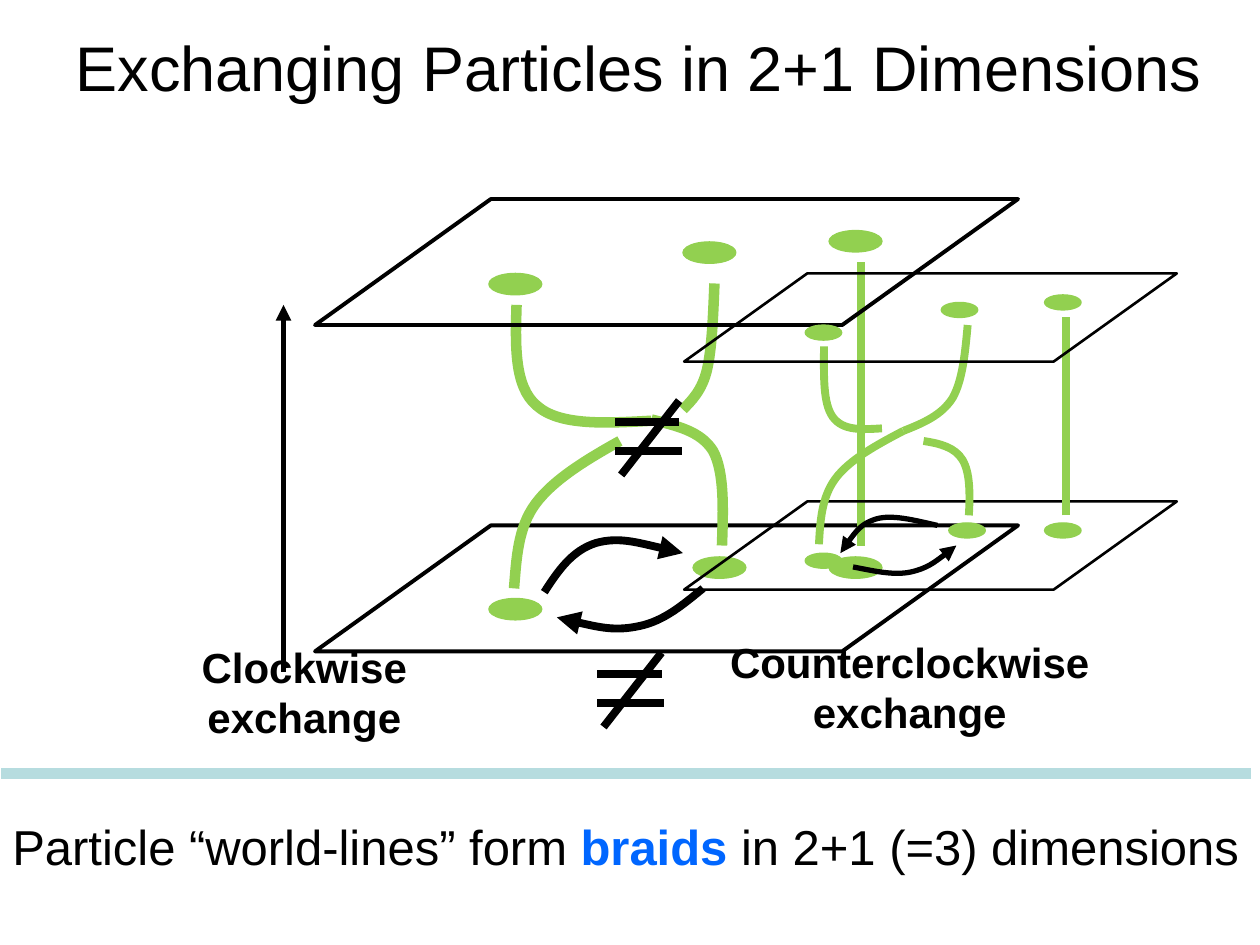
from pptx import Presentation
from pptx.dml.color import RGBColor
from pptx.enum.shapes import MSO_CONNECTOR, MSO_SHAPE
from pptx.enum.text import MSO_ANCHOR, MSO_AUTO_SIZE, PP_ALIGN
from pptx.oxml.ns import qn
from pptx.util import Inches, Pt
from lxml.etree import SubElement

BLACK = RGBColor(0, 0, 0)
GREEN = RGBColor(0x92, 0xD0, 0x50)
BLUE = RGBColor(0x00, 0x66, 0xFF)
TEAL = RGBColor(0xB6, 0xDC, 0xDF)

# Each curve is a start point followed by three Bezier points per segment.
SCENES = [
    dict(  # clockwise exchange
        left=2.5, size=(5.58, 1), tops=(4.17, 1.58), edge=2.25,
        dot=(0.42, 0.17),
        dots=[(3.88, 4.75), (5.5, 4.42), (3.88, 2.17), (5.42, 1.92),
              (6.58, 4.42), (6.58, 1.83)],
        strand=6,
        strands=[
            [(4.08, 4.67), (4.1, 4.43), (4.11, 4.19), (4.25, 4),
             (4.39, 3.81), (4.65, 3.65), (4.92, 3.5)],
            [(5.73, 4.33), (5.74, 4.04), (5.75, 3.75), (5.66, 3.58),
             (5.56, 3.42), (5.37, 3.38), (5.17, 3.33)],
            [(5.17, 3.34), (4.8, 3.36), (4.44, 3.38), (4.26, 3.22),
             (4.08, 3.07), (4.09, 2.74), (4.1, 2.42)],
            [(5.42, 3.25), (5.49, 3.18), (5.57, 3.1), (5.61, 2.94),
             (5.65, 2.77), (5.66, 2.51), (5.67, 2.25)]],
        still=[(6.83, 3.42, 6.83, 2.08), (6.83, 4.33, 6.83, 3.33)],
        arrow=4.5,
        arrows=[
            [(4.32, 4.7), (4.43, 4.53), (4.54, 4.37), (4.73, 4.31),
             (4.91, 4.26), (5.16, 4.33), (5.42, 4.39)],
            [(5.58, 4.67), (5.42, 4.8), (5.27, 4.93), (5.07, 4.97),
             (4.88, 5.01), (4.65, 4.96), (4.42, 4.9)]]),
    dict(  # counterclockwise exchange
        left=5.43, size=(3.91, 0.7), tops=(3.98, 2.17), edge=1.5,
        dot=(0.29, 0.12),
        dots=[(6.39, 4.39), (7.53, 4.15), (6.39, 2.58), (7.47, 2.4),
              (8.29, 4.15), (8.29, 2.34)],
        strand=4.5,
        strands=[
            [(6.5, 4.32), (6.51, 4.14), (6.52, 3.95), (6.63, 3.8),
             (6.74, 3.65), (6.96, 3.53), (7.17, 3.42)],
            [(7.69, 4.09), (7.7, 3.92), (7.7, 3.75), (7.64, 3.65),
             (7.58, 3.55), (7.46, 3.52), (7.33, 3.5)],
            [(7, 3.4), (6.84, 3.41), (6.69, 3.42), (6.61, 3.31),
             (6.53, 3.2), (6.54, 2.98), (6.54, 2.75)],
            [(7.17, 3.42), (7.32, 3.36), (7.47, 3.3), (7.56, 3.16),
             (7.64, 3.02), (7.66, 2.8), (7.68, 2.58)]],
        still=[(8.46, 3.45, 8.46, 2.52), (8.46, 4.09, 8.46, 3.39)],
        arrow=3,
        arrows=[
            [(7.44, 4.17), (7.26, 4.13), (7.08, 4.08), (6.95, 4.12),
             (6.83, 4.16), (6.75, 4.27), (6.67, 4.39)],
            [(6.77, 4.5), (6.93, 4.53), (7.09, 4.57), (7.23, 4.54),
             (7.36, 4.51), (7.48, 4.42), (7.59, 4.33)]]),
]
AXIS = (2.25, 5.33, 2.25, 2.42)
RULE = (0.01, 6.14, 9.93, 6.14)
UNEQUAL = [(4.88, 3.18), (4.74, 5.18)]
SIGN = [(0, 0.17, 0.51, 0.17), (0, 0.4, 0.53, 0.4), (0.51, 0, 0.05, 0.59)]
LABELS = [
    ((1.49, 5.04, 1.85, 0.91), ["Clockwise", "exchange"]),
    ((5.68, 5, 3.08, 0.91), ["Counterclockwise", "exchange"]),
]
TITLE = "Exchanging Particles in 2+1 Dimensions"
CLAIM = [("Particle “world-lines” form ", BLACK, False),
         ("braids", BLUE, True),
         (" in 2+1 (=3) dimensions", BLACK, False)]

prs = Presentation()
prs.slide_width, prs.slide_height = Inches(10), Inches(7.5)
slide = prs.slides.add_slide(prs.slide_layouts[6])
shapes = slide.shapes


def stroke(shape, color, width, tip=False):
    shape.line.color.rgb = color
    shape.line.width = Pt(width)
    if tip:
        SubElement(shape.line._get_or_add_ln(), qn("a:tailEnd"),
                   type="triangle")


def line(ends, color, width, tip=False):
    link = shapes.add_connector(MSO_CONNECTOR.STRAIGHT, *map(Inches, ends))
    stroke(link, color, width, tip)
    SubElement(link._element.spPr, qn("a:effectLst"))


def preset(kind, box, color, width, fill=None):
    shape = shapes.add_shape(kind, *map(Inches, box))
    shape.shadow.inherit = False
    if fill is None:
        shape.fill.background()
    else:
        shape.fill.solid()
        shape.fill.fore_color.rgb = fill
    stroke(shape, color, width)
    return shape


def curve(points, color, width, tip=False):
    """Draw an open Bezier curve, turning each three line steps into one."""
    start, *rest = [(Inches(x), Inches(y)) for x, y in points]
    pen = shapes.build_freeform(*start)
    pen.add_line_segments(rest, close=False)
    shape = pen.convert_to_shape()
    steps = list(shape._element.iter(qn("a:lnTo")))
    for i in range(0, len(steps), 3):
        bend = SubElement(steps[i].getparent(), qn("a:cubicBezTo"))
        for step in steps[i:i + 3]:
            bend.append(step[0])
            step.getparent().remove(step)
    shape.shadow.inherit = False
    shape.fill.background()
    stroke(shape, color, width, tip)


def text(box, paras, size, align=PP_ALIGN.CENTER, wrap=True, grow=True,
         anchor=MSO_ANCHOR.TOP):
    """Write paragraphs, each a list of (words, color, bold) runs."""
    frame = shapes.add_textbox(*map(Inches, box)).text_frame
    frame.word_wrap = wrap
    frame.vertical_anchor = anchor
    if grow:
        frame.auto_size = MSO_AUTO_SIZE.SHAPE_TO_FIT_TEXT
    for i, runs in enumerate(paras):
        para = frame.add_paragraph() if i else frame.paragraphs[0]
        para.alignment = align
        for words, color, bold in runs:
            run = para.add_run()
            run.text = words
            font = run.font
            font.name, font.size, font.bold = "Arial", Pt(size), bold
            font.color.rgb = color


def plane(scene, top):
    shape = preset(MSO_SHAPE.PARALLELOGRAM,
                   (scene["left"], top, *scene["size"]), BLACK, scene["edge"])
    shape.adjustments[0] = 1.396


def braid(scene):
    """Draw two planes in time with the particle paths between them."""
    low, high = scene["tops"]
    plane(scene, low)
    for spot in scene["dots"]:
        preset(MSO_SHAPE.OVAL, spot + scene["dot"], GREEN, 0.75, GREEN)
    for points in scene["strands"]:
        curve(points, GREEN, scene["strand"])
    for ends in scene["still"]:
        line(ends, GREEN, 4.5)
    for points in scene["arrows"]:
        curve(points, BLACK, scene["arrow"], tip=True)
    plane(scene, high)


line(AXIS, BLACK, 3, tip=True)
for scene in SCENES:
    braid(scene)
for x, y in UNEQUAL:
    for a, b, c, d in SIGN:
        line((x + a, y + b, x + c, y + d), BLACK, 4.5)
for box, rows in LABELS:
    text(box, [[(row, BLACK, True)] for row in rows], 24, wrap=False)
text((0.46, 0.11, 9.22, 0.83), [[(TITLE, BLACK, False)]], 36, grow=False,
     anchor=MSO_ANCHOR.MIDDLE)
text((0, 6.43, 10, 0.57), [CLAIM], 28, align=PP_ALIGN.LEFT)
line(RULE, TEAL, 6)
prs.save("out.pptx")
